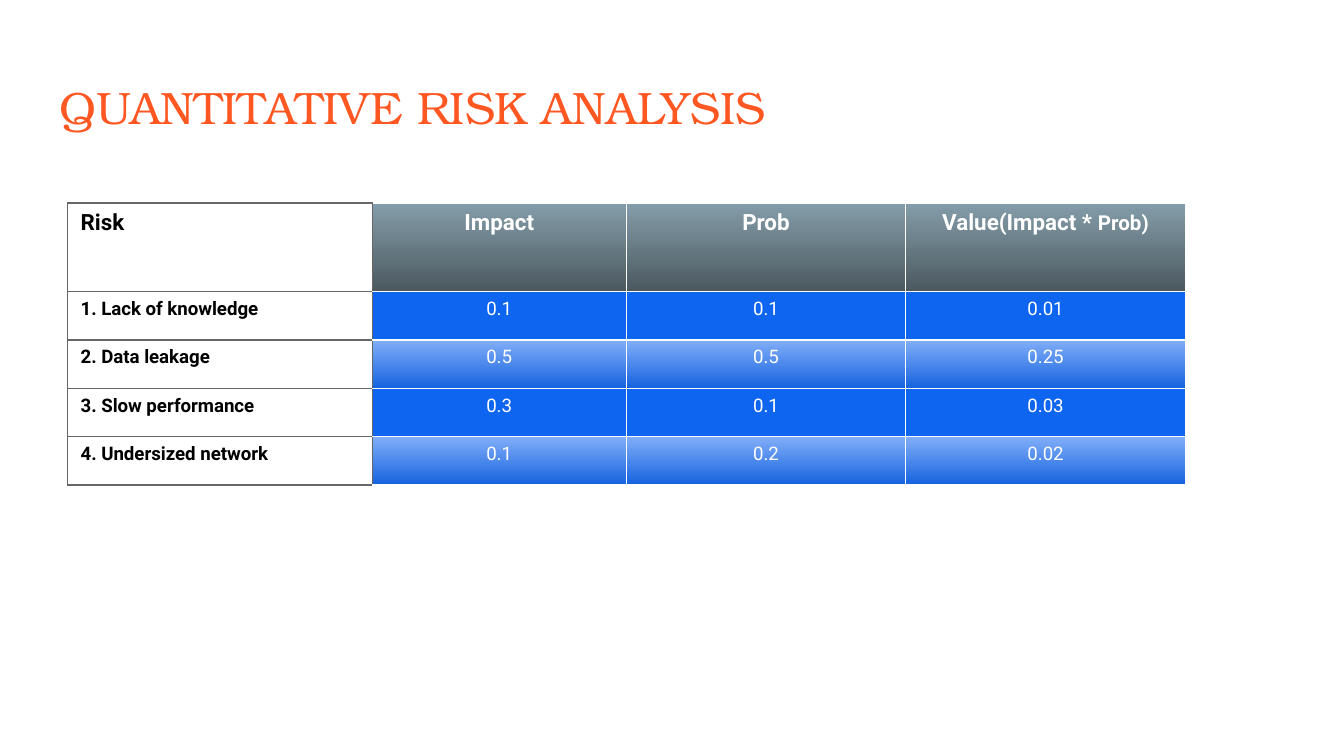
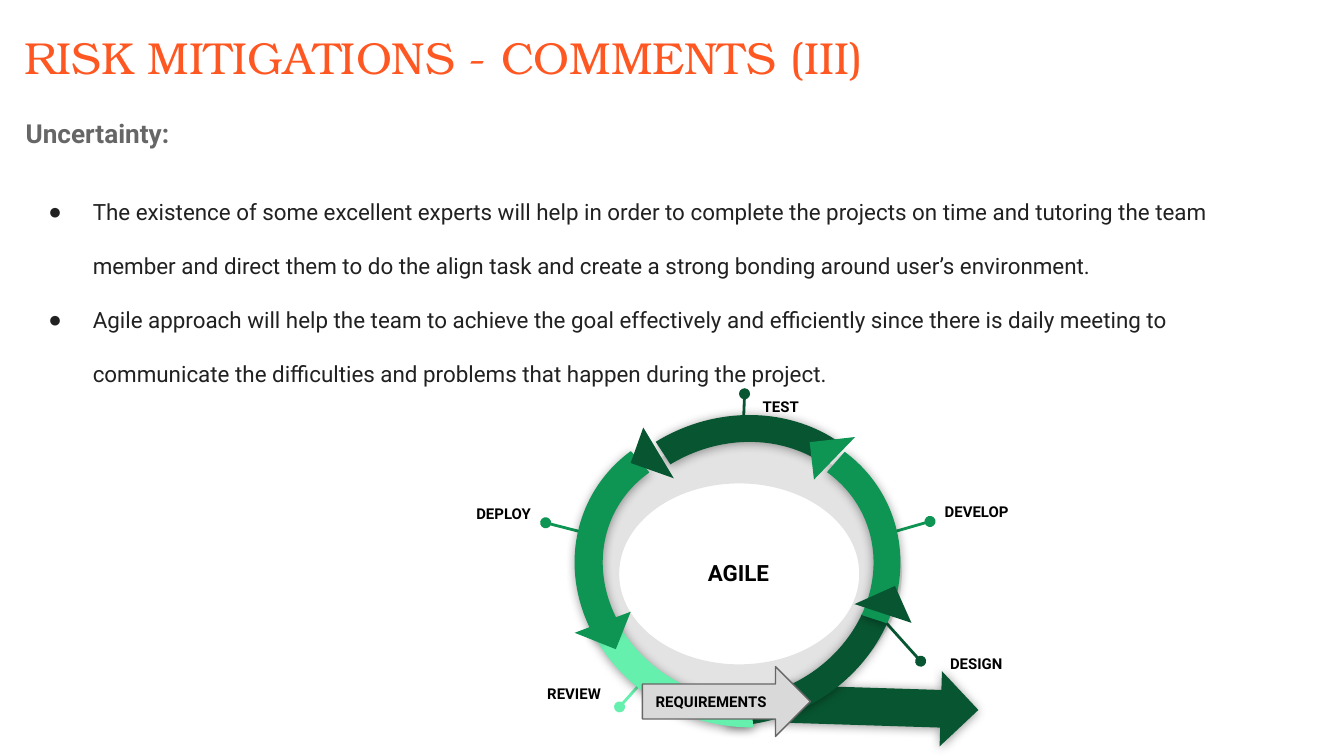
from dataclasses import dataclass

from lxml import etree
from pptx import Presentation
from pptx.dml.color import RGBColor
from pptx.enum import shapes, text
from pptx.oxml.ns import qn
from pptx.util import Inches, Pt


@dataclass(frozen=True)
class Theme:
    title_font: str = "TeX Gyre Bonum"
    body_font: str = "Roboto"
    orange: str = "FF5722"
    black: str = "000000"
    near_black: str = "020202"
    white: str = "FFFFFF"
    grey: str = "666666"
    ink: str = "212121"
    silver: str = "D9D9D9"
    dark: str = "085631"
    green: str = "0E9453"
    mint: str = "65F0AD"
    blue: tuple = ("0E65F0",)
    blue_fade: tuple = ("81AEF8", "1663DF")
    slate_fade: tuple = ("849DAA", "4B595F")
    table_title: float = 24.3
    title: float = 24
    heading: float = 14
    body: float = 12
    small: float = 11
    cell: float = 10
    label: float = 8


T = Theme()
S = shapes.MSO_SHAPE
LEFT, CENTER, RIGHT = text.PP_ALIGN.LEFT, text.PP_ALIGN.CENTER, text.PP_ALIGN.RIGHT


def write(p, words, size=T.label, color=T.black, bold=True, font=T.body_font,
          align=LEFT, spacing=1.0, before=0):
    """Append a formatted run to paragraph p and set the paragraph's format."""
    p.alignment, p.line_spacing, p.space_before = align, spacing, Pt(before)
    r = p.add_run()
    r.text = words
    r.font.size, r.font.bold, r.font.name = Pt(size), bold, font
    r.font.color.rgb = RGBColor.from_string(color)


def draw(kind, box, color, rot=0, flip=False, adj=(), line=None, alpha=None, shadow=False):
    """Add a preset shape to the agile diagram."""
    sp = s.shapes.add_shape(kind, *map(Inches, box))
    sp.rotation = rot
    sp.shadow.inherit = False
    for i, value in enumerate(adj):
        sp.adjustments[i] = value
    sp.fill.solid()
    sp.fill.fore_color.rgb = RGBColor.from_string(color)
    if line:
        sp.line.color.rgb = RGBColor.from_string(line)
        sp.line.width = Pt(0.75)
    else:
        sp.line.fill.background()
    spPr = sp.element.spPr
    if flip:
        spPr.find(qn("a:xfrm")).set("flipH", "1")
    if alpha:
        clr = spPr.find(qn("a:solidFill")).find(qn("a:srgbClr"))
        etree.SubElement(clr, qn("a:alpha")).set("val", str(alpha * 1000))
    if shadow:
        shdw = etree.SubElement(spPr.find(qn("a:effectLst")), qn("a:outerShdw"),
                                blurRad=str(Pt(5.6)), dist=str(Pt(0.7)),
                                dir="5400000", algn="bl", rotWithShape="0")
        clr = etree.SubElement(shdw, qn("a:srgbClr"), val=T.black)
        etree.SubElement(clr, qn("a:alpha"), val="40000")
    return sp


prs = Presentation()
prs.slide_width = Inches(10)
prs.slide_height = prs.slide_width * 9 // 16

# Slides and titles
slides = []
for layout, title, size, box in [
    (5, "QUANTITATIVE RISK ANALYSIS", T.table_title, (0.34, 0.49, 9.32, 0.63)),
    (1, "RISK MITIGATIONS - COMMENTS (III)", T.title, (0.08, 0.12, 9.84, 0.63)),
]:
    s = prs.slides.add_slide(prs.slide_layouts[layout])
    slides.append(s)
    for sp in s.placeholders:
        tf = sp.text_frame
        tf.word_wrap, tf.auto_size = True, text.MSO_AUTO_SIZE.NONE
        tf.vertical_anchor = text.MSO_ANCHOR.TOP
        tf.margin_left = tf.margin_right = tf.margin_top = tf.margin_bottom = Inches(0.1)
    sp = s.shapes.title
    sp.left, sp.top, sp.width, sp.height = map(Inches, box)
    write(sp.text_frame.paragraphs[0], title, size=size, color=T.orange,
          bold=False, font=T.title_font)

# Risk table
s = slides[0]
rows = [
    ("Risk", "Impact", "Prob", "Value(Impact * "),
    ("1. Lack of knowledge", "0.1", "0.1", "0.01"),
    ("2. Data leakage", "0.5", "0.5", "0.25"),
    ("3. Slow performance", "0.3", "0.1", "0.03"),
    ("4. Undersized network", "0.1", "0.2", "0.02"),
]
tbl = s.shapes.add_table(5, 4, Inches(0.5), Inches(1.51), Inches(8.32), Inches(2.1)).table
tbl.first_row = tbl.horz_banding = False
for col, width in zip(tbl.columns, (2.27, 1.89, 2.08, 2.08)):
    col.width = Inches(width)
for i, row in enumerate(rows):
    tbl.rows[i].height = Inches(0.36 if i else 0.66)
    for j, words in enumerate(row):
        cell = tbl.cell(i, j)
        tcPr = cell._tc.get_or_add_tcPr()
        for side in "LRTB":
            grey = j == 0 or (j == 1 and side == "L")
            ln = etree.SubElement(tcPr, qn(f"a:ln{side}"), w=str(Pt(0.75)))
            fill = etree.SubElement(ln, qn("a:solidFill"))
            etree.SubElement(fill, qn("a:srgbClr"), val=T.grey if grey else T.white)
        if j == 0:
            colors = (T.white,)
        elif i == 0:
            colors = T.slate_fade
        else:
            colors = T.blue if i % 2 else T.blue_fade
        if len(colors) == 1:
            cell.fill.solid()
            cell.fill.fore_color.rgb = RGBColor.from_string(colors[0])
        else:
            cell.fill.gradient()
            cell.fill.gradient_angle = 270
            for stop, color in zip(cell.fill.gradient_stops, colors):
                stop.color.rgb = RGBColor.from_string(color)
        write(cell.text_frame.paragraphs[0], words, size=T.cell if i else T.body,
              color=T.white if j else T.black, bold=i == 0 or j == 0,
              align=CENTER if j else LEFT)
write(tbl.cell(0, 3).text_frame.paragraphs[0], "Prob)", size=T.small, color=T.white,
      align=CENTER)

# Uncertainty list
s = slides[1]
sp = s.placeholders[1]
sp.left, sp.top, sp.width, sp.height = map(Inches, (0.09, 0.66, 9.32, 1.82))
tf = sp.text_frame
p = tf.paragraphs[0]
write(p, "Uncertainty:", size=T.heading, color=T.grey, spacing=1.5)
pPr = p._p.get_or_add_pPr()
pPr.set("marL", "0")
pPr.set("indent", "0")
etree.SubElement(pPr, qn("a:buNone"))
for words, before in [
    ("The existence of some excellent experts will help in order to complete the projects "
     "on time and tutoring the team member and direct them to do the align task and create "
     "a strong bonding around user’s environment.", 12),
    ("Agile approach will help the team to achieve the goal effectively and efficiently "
     "since there is daily meeting to communicate the difficulties and problems that "
     "happen during the project.", 0),
]:
    p = tf.add_paragraph()
    write(p, words, size=T.body, color=T.ink, bold=False, spacing=2.0, before=before)
    pPr = p._p.get_or_add_pPr()
    pPr.set("marL", str(Inches(0.5)))
    pPr.set("indent", str(Inches(-0.33)))
    etree.SubElement(etree.SubElement(pPr, qn("a:buClr")), qn("a:srgbClr"), val=T.ink)
    etree.SubElement(pPr, qn("a:buChar"), char="●")

# Agile cycle: exit arrow and pale ring
draw(S.RIGHT_ARROW, (5.79, 4.98, 1.49, 0.56), T.dark, rot=1.8, shadow=True)
draw(S.DONUT, (4.29, 3.28, 2.42, 1.98), T.black, rot=180, flip=True, adj=(0.16,), alpha=11)

# Stage pins: dot end, ring end, colour
for x1, y1, x2, y2, color in [
    (5.54, 2.93, 5.53, 3.19, T.dark),
    (6.85, 4.92, 6.59, 4.63, T.dark),
    (4.61, 5.26, 4.87, 4.97, T.mint),
    (6.92, 3.88, 6.5, 4, T.green),
    (4.06, 3.89, 4.49, 4, T.green),
]:
    pin = s.shapes.add_connector(shapes.MSO_CONNECTOR.STRAIGHT,
                                 *map(Inches, (x1, y1, x2, y2)))
    pin.line.color.rgb = RGBColor.from_string(color)
    pin.line.width = Pt(1.5)
    spPr = pin.element.spPr
    etree.SubElement(spPr.find(qn("a:ln")), qn("a:headEnd"), type="oval")
    etree.SubElement(spPr, qn("a:effectLst"))

for words, box, align in [
    ("TEST", (5.1, 2.85, 1.42, 0.37), CENTER),
    ("DESIGN", (6.97, 4.76, 1.42, 0.52), LEFT),
    ("REVIEW", (3.15, 4.98, 1.42, 0.52), RIGHT),
    ("DEVELOP", (6.93, 3.63, 1.42, 0.52), LEFT),
    ("DEPLOY", (2.63, 3.64, 1.42, 0.52), RIGHT),
    ("AGILE", (4.81, 3.93, 1.37, 0.63), CENTER),
]:
    hub = words == "AGILE"
    tf = s.shapes.add_textbox(*map(Inches, box)).text_frame
    tf.word_wrap = True
    tf.margin_left = tf.margin_right = tf.margin_bottom = Inches(0.1)
    tf.margin_top = Inches(0.1 if hub else 0.13)
    tf.vertical_anchor = text.MSO_ANCHOR.MIDDLE if hub else text.MSO_ANCHOR.TOP
    write(tf.paragraphs[0], words, size=T.body if hub else T.label,
          color=T.near_black if hub else T.black, align=align, spacing=1.15)

# Ring segments and arrow tips, back to front
ARC, TIP = S.BLOCK_ARC, S.RIGHT_TRIANGLE
for kind, box, color, rot, flip, adj, line in [
    (ARC, (4.27, 3.16, 2.45, 2.22), T.dark, 154.7, True, (144.14, 189.99, 0.09), None),
    (ARC, (4.27, 3.16, 2.45, 2.22), T.green, 334.7, False, (201.79, 26.24, 0.09), None),
    (TIP, (6.42, 4.4, 0.3, 0.33), T.dark, 245.9, True, (), None),
    (ARC, (4.26, 3.16, 2.46, 2.23), T.mint, 205.3, False, (143.34, 188.55, 0.09), None),
    (ARC, (4.26, 3.16, 2.45, 2.22), T.green, 25.3, True, (201.85, 30.07, 0.09), T.green),
    (ARC, (4.26, 3.11, 2.45, 2.22), T.dark, 334.7, False, (157.39, 200.08, 0.09), None),
    (TIP, (4.32, 4.48, 0.33, 0.3), T.green, 21.7, True, (), None),
    (TIP, (6.04, 3.27, 0.34, 0.28), T.green, 173.5, True, (), None),
    (TIP, (4.76, 3.2, 0.28, 0.34), T.dark, 109.5, True, (), None),
]:
    draw(kind, box, color, rot, flip, adj, line, shadow=kind == ARC)

sp = draw(S.RIGHT_ARROW, (4.78, 4.96, 1.25, 0.52), T.silver, line=T.grey)
tf = sp.text_frame
tf.word_wrap, tf.vertical_anchor = True, text.MSO_ANCHOR.MIDDLE
tf.margin_left = tf.margin_right = tf.margin_top = tf.margin_bottom = Inches(0.1)
write(tf.paragraphs[0], "REQUIREMENTS")

prs.save("out.pptx")
